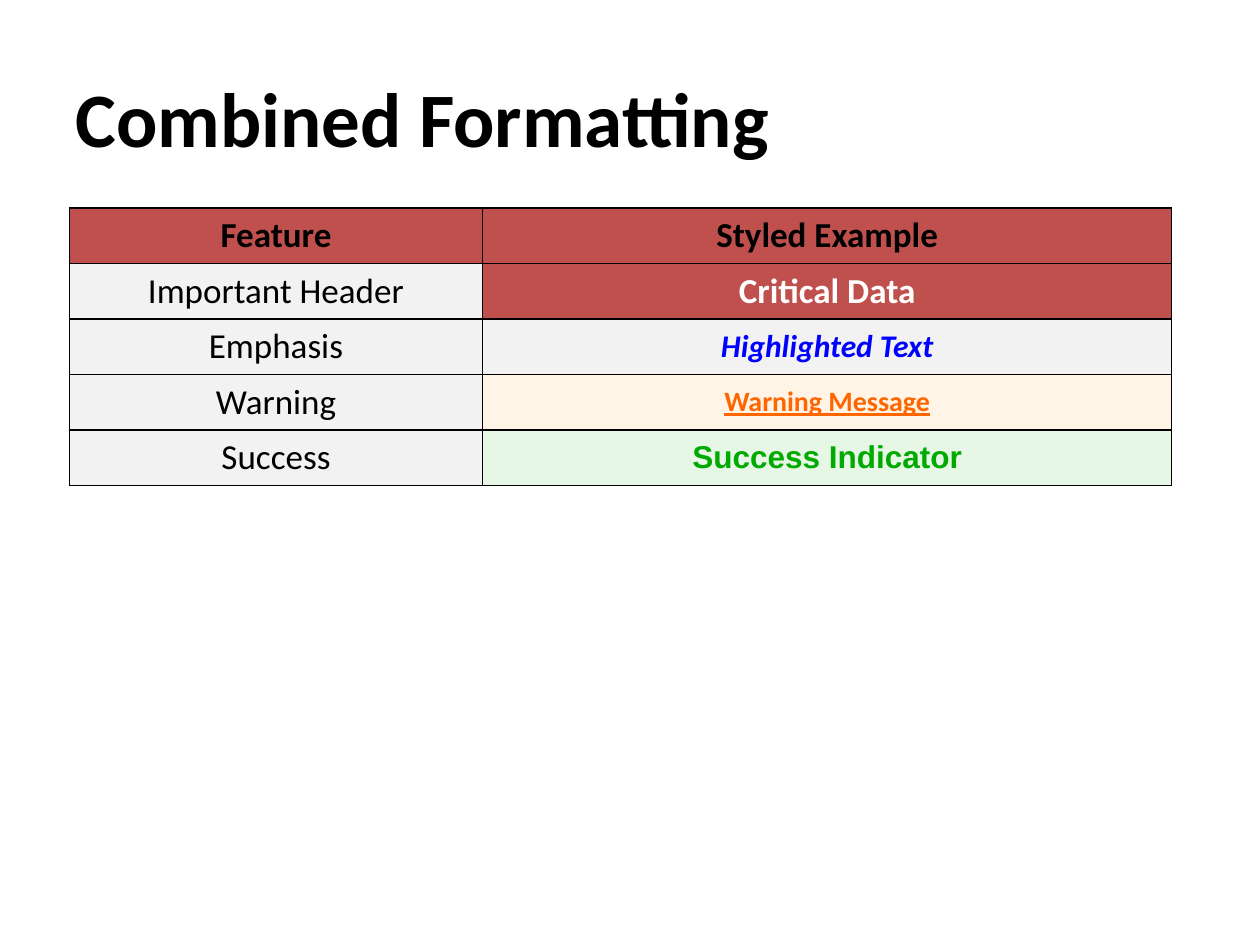
from lxml import etree
from pptx import Presentation, util as u
from pptx.dml.color import RGBColor
from pptx.enum import text
from pptx.oxml import ns

COLORS = {
    "black": "000000",
    "white": "FFFFFF",
    "red": "C0504D",
    "gray": "F2F2F2",
    "blue": "0000FF",
    "orange": "FF6600",
    "cream": "FFF4E6",
    "green": "00AA00",
    "mint": "E6F7E6",
}

HEADER = dict(fill="red", bold=True)
LABEL = dict(fill="gray")
ROWS = [
    (("Feature", HEADER), ("Styled Example", HEADER)),
    (("Important Header", LABEL),
     ("Critical Data", dict(fill="red", color="white", bold=True))),
    (("Emphasis", LABEL),
     ("Highlighted Text", dict(fill="gray", color="blue", size=18, bold=True, italic=True))),
    (("Warning", LABEL),
     ("Warning Message", dict(fill="cream", color="orange", size=16, bold=True, underline=True))),
    (("Success", LABEL),
     ("Success Indicator", dict(fill="mint", color="green", size=18, bold=True, font="Arial"))),
]


class Deck:
    font = "Calibri"
    border = u.Pt(1)

    def __init__(self, width, height):
        self.prs = Presentation()
        self.prs.slide_width = u.Inches(width)
        self.prs.slide_height = u.Inches(height)
        self.s = self.prs.slides.add_slide(self.prs.slide_layouts[5])

    def box(self, x, y, w, h):
        sw, sh = self.prs.slide_width, self.prs.slide_height
        return [int(v) for v in (x * sw, y * sh, w * sw, h * sh)]

    def label(self, tf, content, align, size=20, color="black", font=None,
              bold=False, italic=False, underline=False):
        p = tf.paragraphs[0]
        p.text = content
        p.alignment = align
        f = p.font
        f.name, f.size = font or self.font, u.Pt(size)
        f.bold, f.italic, f.underline = bold, italic, underline
        f.color.rgb = RGBColor.from_string(COLORS[color])

    def title(self, content, x, y, w, h):
        sp = self.s.shapes.title
        sp.left, sp.top, sp.width, sp.height = self.box(x, y, w, h)
        tf = sp.text_frame
        tf.vertical_anchor = text.MSO_ANCHOR.MIDDLE
        self.label(tf, content, text.PP_ALIGN.LEFT, size=44, bold=True)

    def outline(self, cell):
        tc_pr = cell._tc.get_or_add_tcPr()
        for i, side in enumerate(("lnL", "lnR", "lnT", "lnB")):
            ln = etree.Element(ns.qn(f"a:{side}"), w=str(int(self.border)))
            fill = etree.SubElement(ln, ns.qn("a:solidFill"))
            etree.SubElement(fill, ns.qn("a:srgbClr"), val=COLORS["black"])
            tc_pr.insert(i, ln)

    def cell(self, cell, content, fill, **style):
        cell.vertical_anchor = text.MSO_ANCHOR.MIDDLE
        cell.fill.solid()
        cell.fill.fore_color.rgb = RGBColor.from_string(COLORS[fill])
        self.label(cell.text_frame, content, text.PP_ALIGN.CENTER, **style)
        self.outline(cell)

    def table(self, rows, x, y, w, h, shares):
        box = self.box(x, y, w, h)
        tbl = self.s.shapes.add_table(len(rows), len(shares), *box).table
        for column, share in zip(tbl.columns, shares):
            column.width = int(box[2] * share / sum(shares))
        for r, row in enumerate(rows):
            for c, (content, style) in enumerate(row):
                self.cell(tbl.cell(r, c), content, **style)


def main():
    deck = Deck(10, 7.5)
    deck.title("Combined Formatting", 0.05, 0.04, 0.9, 1 / 6)
    deck.table(ROWS, 0.055, 0.22, 0.875, 0.29, (3, 5))
    deck.prs.save("out.pptx")


if __name__ == "__main__":
    main()
